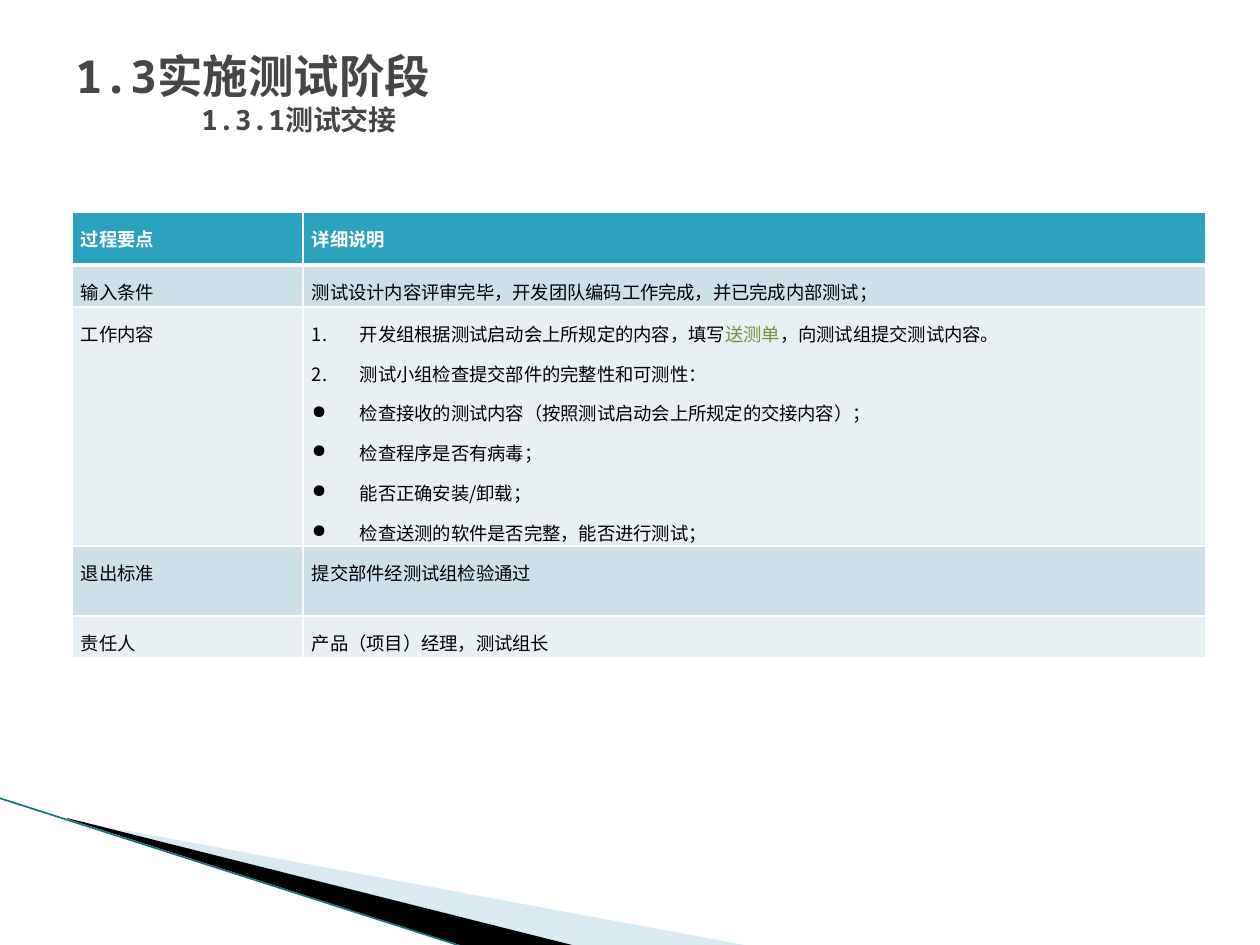
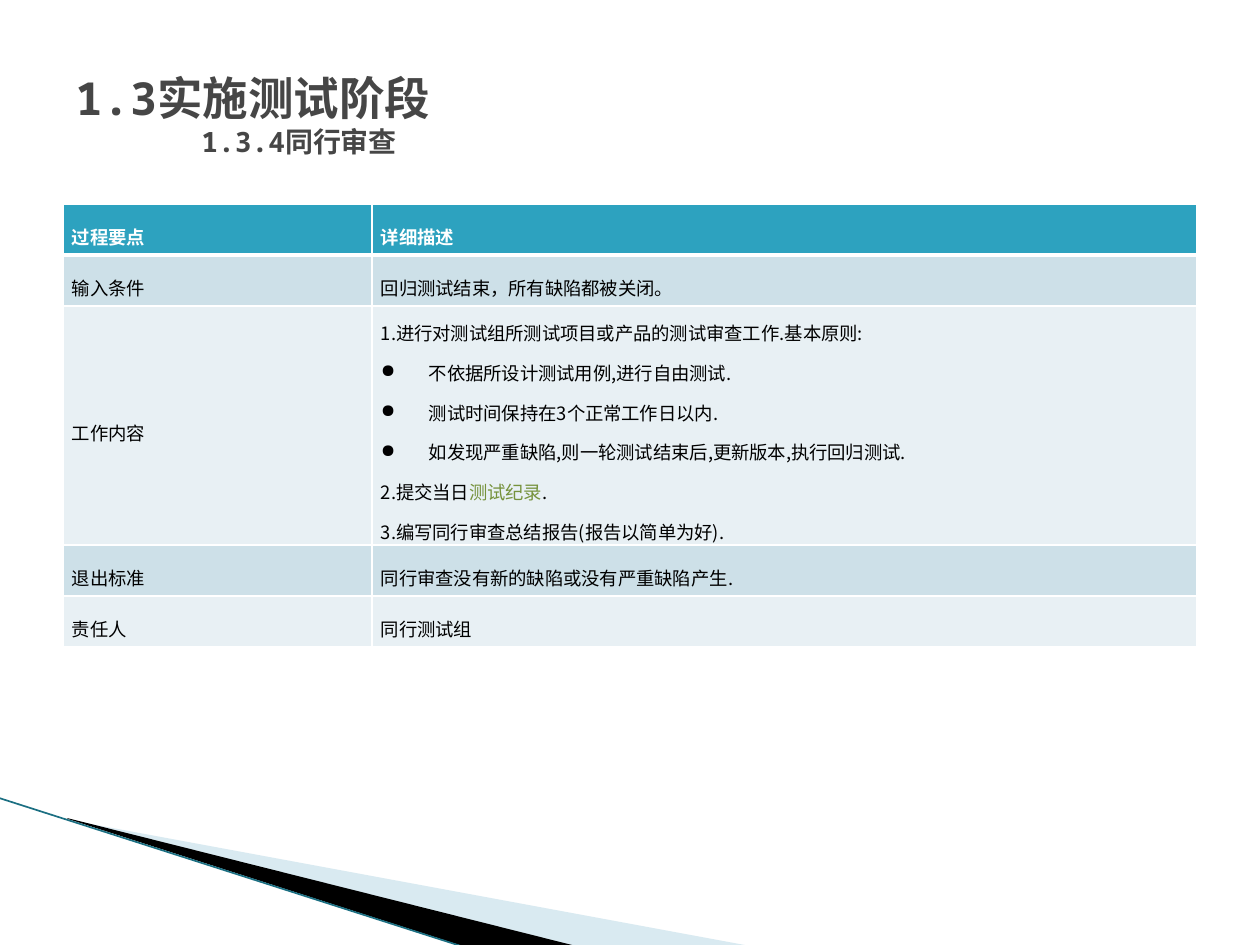
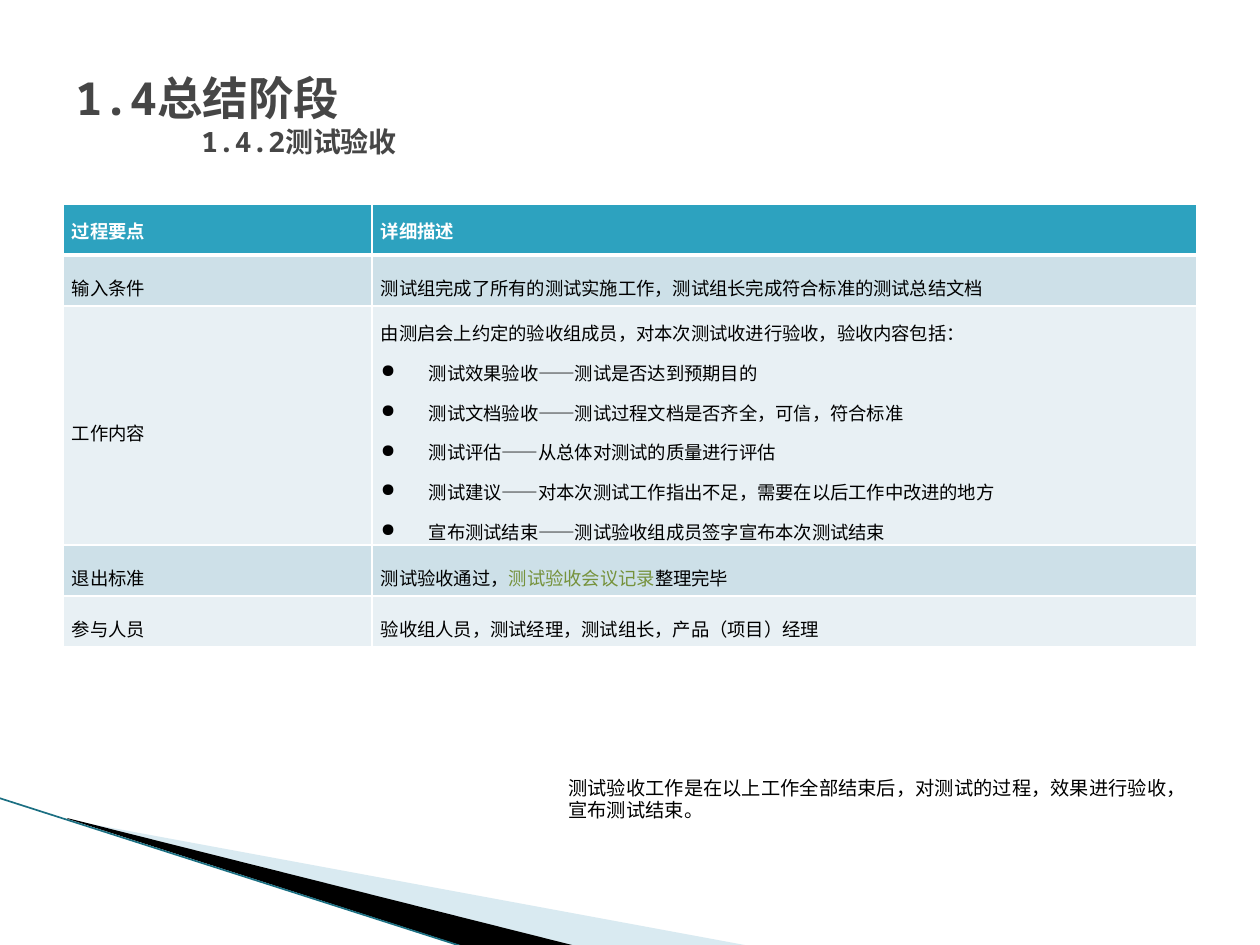
"""Build three slides on the testing process, each with a title and a table of key points."""
from lxml.etree import SubElement
from pptx import Presentation
from pptx.dml.color import RGBColor
from pptx.enum.shapes import MSO_CONNECTOR
from pptx.enum.text import MSO_ANCHOR as ANCHOR, PP_ALIGN as ALIGN
from pptx.oxml.ns import qn
from pptx.util import Emu, Pt

PX = 914400 / 126
TEAL, BLACK, WHITE, GREEN, GREY = "2DA2BF", "000000", "FFFFFF", "76923C", "464646"
PALE_BLUE, EDGE = "A0CBDC", "1B6F82"
BANDS = ["CDE0E8", "E8F0F4"]
SANS, MONO = "Noto Sans CJK SC", "Noto Sans Mono"
INDENT = 48

WEDGES = [
    ([(69, 820), (750, 946), (575, 946), (69, 819)], PALE_BLUE, 40),
    ([(67, 818), (576, 946), (469, 948), (68, 819)], BLACK, 100),
]

HANDOVER = {
    "title": "1.3实施测试阶段", "subtitle": "1.3.1测试交接", "title_top": 16,
    "table_at": (72, 212), "columns": [231, 903], "rows": [53, 42, 239, 70, 42],
    "header_anchor": ANCHOR.TOP, "body_anchor": ANCHOR.TOP,
    "cells": [
        ("过程要点", ["详细说明"]),
        ("输入条件", ["测试设计内容评审完毕，开发团队编码工作完成，并已完成内部测试；"]),
        ("工作内容", [
            "#开发组根据测试启动会上所规定的内容，填写|送测单|，向测试组提交测试内容。",
            "#测试小组检查提交部件的完整性和可测性：",
            "●检查接收的测试内容（按照测试启动会上所规定的交接内容）；",
            "●检查程序是否有病毒；",
            "●能否正确安装/卸载；",
            "●检查送测的软件是否完整，能否进行测试；"]),
        ("退出标准", ["提交部件经测试组检验通过"]),
        ("责任人", ["产品（项目）经理，测试组长"]),
    ],
}
PEER_REVIEW = {
    "title": "1.3实施测试阶段", "subtitle": "1.3.4同行审查", "title_top": 38,
    "table_at": (63, 204), "columns": [309, 825], "rows": [51, 51, 239, 51, 51],
    "header_anchor": ANCHOR.MIDDLE, "body_anchor": ANCHOR.MIDDLE,
    "cells": [
        ("过程要点", ["详细描述"]),
        ("输入条件", ["回归测试结束，所有缺陷都被关闭。"]),
        ("工作内容", [
            "1.进行对测试组所测试项目或产品的测试审查工作.基本原则:",
            "●不依据所设计测试用例,进行自由测试.",
            "●测试时间保持在3个正常工作日以内.",
            "●如发现严重缺陷,则一轮测试结束后,更新版本,执行回归测试.",
            "2.提交当日|测试纪录|.",
            "3.编写同行审查总结报告(报告以简单为好)."]),
        ("退出标准", ["同行审查没有新的缺陷或没有严重缺陷产生."]),
        ("责任人", ["同行测试组"]),
    ],
}
ACCEPTANCE = {
    **PEER_REVIEW,
    "title": "1.4总结阶段", "subtitle": "1.4.2测试验收", "header_anchor": ANCHOR.TOP,
    "cells": [
        ("过程要点", ["详细描述"]),
        ("输入条件", ["测试组完成了所有的测试实施工作，测试组长完成符合标准的测试总结文档"]),
        ("工作内容", [
            "由测启会上约定的验收组成员，对本次测试收进行验收，验收内容包括：",
            "●测试效果验收——测试是否达到预期目的",
            "●测试文档验收——测试过程文档是否齐全，可信，符合标准",
            "●测试评估——从总体对测试的质量进行评估",
            "●测试建议——对本次测试工作指出不足，需要在以后工作中改进的地方",
            "●宣布测试结束——测试验收组成员签字宣布本次测试结束"]),
        ("退出标准", ["测试验收通过，|测试验收会议记录|整理完毕"]),
        ("参与人员", ["验收组人员，测试经理，测试组长，产品（项目）经理"]),
    ],
    "note": "测试验收工作是在以上工作全部结束后，对测试的过程，效果进行验收，宣布测试结束。",
}


def px(*lengths):
    return [Emu(round(length * PX)) for length in lengths]


def add_run(paragraph, text, size, font, color, bold=False):
    run = paragraph.add_run()
    run.text = text
    run.font.size, run.font.name, run.font.bold = Pt(size), font, bold
    run.font.color.rgb = RGBColor.from_string(color)
    SubElement(run.font._element, qn("a:ea"), typeface=SANS)


presentation = Presentation()
presentation.slide_width, presentation.slide_height = px(1260, 945)

for content in (HANDOVER, PEER_REVIEW, ACCEPTANCE):
    slide = presentation.slides.add_slide(presentation.slide_layouts[6])

    for points, color, opacity in WEDGES:
        builder = slide.shapes.build_freeform(*points[0], scale=PX)
        builder.add_line_segments(points[1:], close=True)
        wedge = builder.convert_to_shape()
        wedge.shadow.inherit = False
        wedge.line.fill.background()
        wedge.fill.solid()
        wedge.fill.fore_color.rgb = RGBColor.from_string(color)
        if opacity < 100:
            fill_color = wedge._element.spPr.find(".//" + qn("a:srgbClr"))
            SubElement(fill_color, qn("a:alpha"), val=str(opacity * 1000))
    edge = slide.shapes.add_connector(MSO_CONNECTOR.STRAIGHT, *px(-1, 798, 467, 948))
    edge.line.width = Pt(0.95)
    edge.line.color.rgb = RGBColor.from_string(EDGE)
    SubElement(edge._element.spPr, qn("a:effectLst"))

    size = (sum(content["columns"]), sum(content["rows"]))
    table = slide.shapes.add_table(5, 2, *px(*content["table_at"], *size)).table
    for column, width in zip(table.columns, px(*content["columns"])):
        column.width = width
    for row, height in zip(table.rows, px(*content["rows"])):
        row.height = height
    for row_index, (label, details) in enumerate(content["cells"]):
        header = row_index == 0
        for column_index, lines in enumerate(([label], details)):
            cell = table.cell(row_index, column_index)
            cell.vertical_anchor = content["header_anchor" if header else "body_anchor"]
            cell.margin_left, cell.margin_right, cell.margin_top, cell.margin_bottom = px(9, 9, 0, 0)
            for side in "LRTB":
                thick = (row_index, side) in ((0, "B"), (1, "T"))
                border = SubElement(cell._tc.get_or_add_tcPr(), qn("a:ln" + side),
                                    w=str(Pt(3 if thick else 1)))
                SubElement(SubElement(border, qn("a:solidFill")), qn("a:srgbClr"), val=WHITE)
            cell.fill.solid()
            cell.fill.fore_color.rgb = RGBColor.from_string(TEAL if header else BANDS[(row_index - 1) % 2])
            for line_index, line in enumerate(lines):
                frame = cell.text_frame
                paragraph = frame.add_paragraph() if line_index else frame.paragraphs[0]
                paragraph.alignment, paragraph.line_spacing = ALIGN.JUSTIFY, 1.5
                if line[0] in "#●":
                    properties = paragraph._p.get_or_add_pPr()
                    indent = px(INDENT)[0]
                    properties.set("marL", str(indent))
                    properties.set("indent", str(-indent))
                    if line[0] == "#":
                        SubElement(properties, qn("a:buAutoNum"), type="arabicPeriod")
                    else:
                        SubElement(properties, qn("a:buChar"), char="●")
                    line = line[1:]
                for part_index, part in enumerate(line.split("|")):
                    color = WHITE if header else GREEN if part_index % 2 else BLACK
                    add_run(paragraph, part, 10.5, SANS, color, header)

    title = slide.shapes.add_textbox(*px(63, content["title_top"], 1134, 157)).text_frame
    title.word_wrap, title.vertical_anchor = True, ANCHOR.MIDDLE
    title.margin_top, title.margin_bottom = px(2, 6)
    heading, subheading = title.paragraphs[0], title.add_paragraph()
    heading.line_spacing, subheading.line_spacing = Pt(31), Pt(19)
    subheading._p.get_or_add_pPr().set("marL", str(px(126)[0]))
    add_run(heading, content["title"], 26, MONO, GREY, True)
    add_run(subheading, content["subtitle"], 16, MONO, GREY, True)

    if "note" in content:
        note = slide.shapes.add_textbox(*px(556, 770, 630, 59)).text_frame
        note.word_wrap = True
        note.paragraphs[0].line_spacing = Pt(13)
        add_run(note.paragraphs[0], content["note"], 11, MONO, BLACK)

presentation.save("out.pptx")
